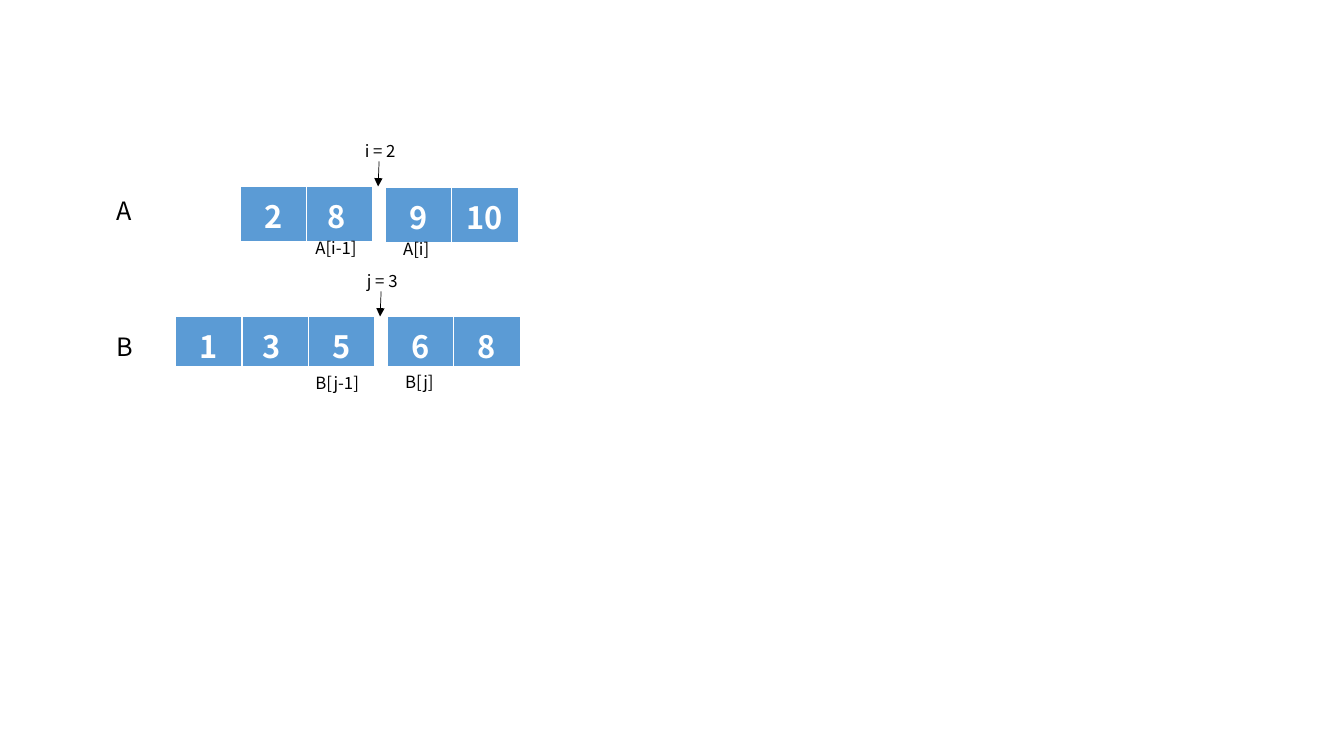
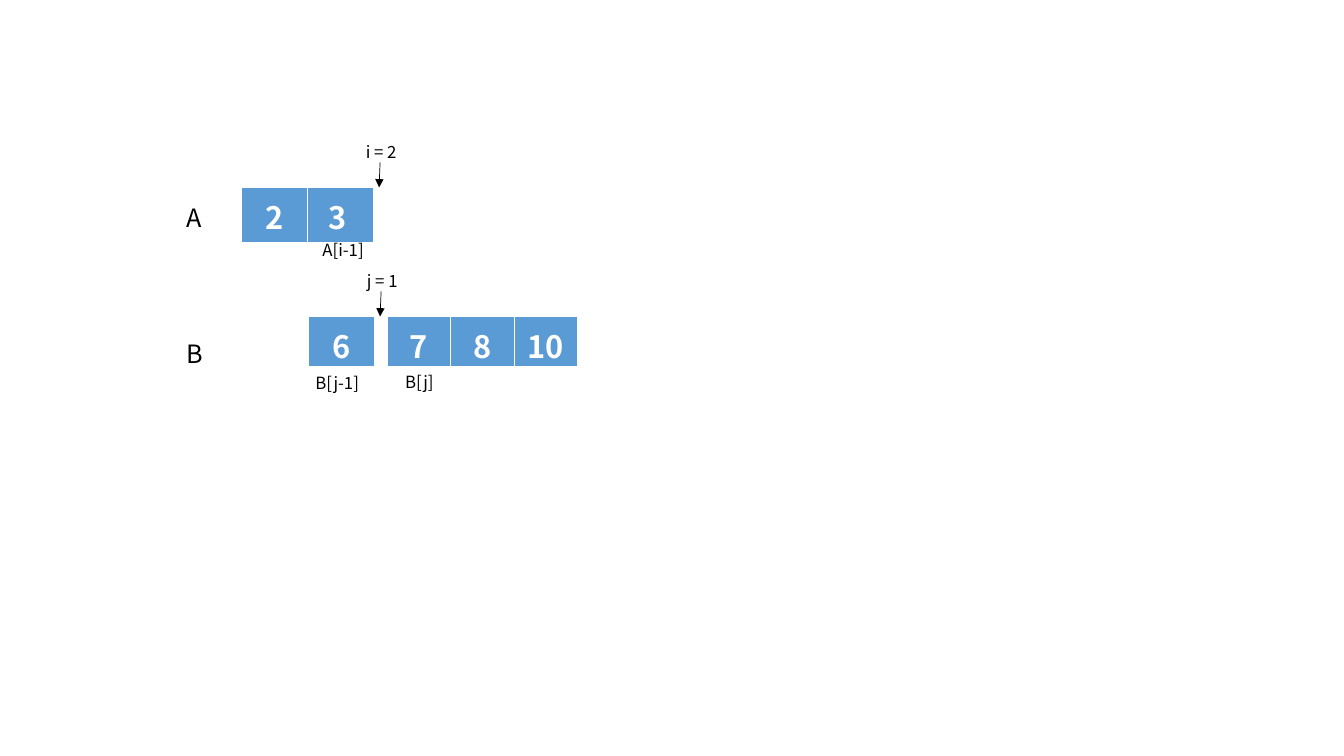
import dataclasses
import pptx
import pptx.dml.color
import pptx.enum.shapes
import pptx.enum.text
import pptx.oxml
import pptx.oxml.ns
import pptx.util

Inches = pptx.util.Inches
Pt = pptx.util.Pt
RGB = pptx.dml.color.RGBColor.from_string


@dataclasses.dataclass(frozen=True)
class Theme:
    """Colours, font and type sizes that the slides share."""
    ink: str = "000000"
    paper: str = "FFFFFF"
    blue: str = "5B9BD5"
    font: str = "Noto Sans CJK SC"
    cell: int = 22
    name: int = 18
    tag: int = 12


LOOK = Theme()
FLAT = {"first_row": False, "horz_banding": False}
PAD = {
    "margin_left": Inches(0.12), "margin_right": Inches(0.12),
    "margin_top": Inches(0.06), "margin_bottom": Inches(0.06),
}
FLOW = {"word_wrap": True, "auto_size": pptx.enum.text.MSO_AUTO_SIZE.SHAPE_TO_FIT_TEXT}
EDGES = {"lnL": 1, "lnR": 1, "lnT": 1, "lnB": 3}
HIGH = 0.51
WIDE = 0.66
GAP = 0.12

PAGES = [
    [
        {"box": (3.7, 1.85), "name": ("A", 1.06, 1.89), "mark": "i = 2",
         "left": ["2", "8 "], "right": ["9", "10 "], "drop": 0.01,
         "tags": [("A[i-1]", -0.67, 0.46), ("A[i]", 0.2, 0.47)]},
        {"box": (3.72, 3.14), "name": ("B", 1.06, 3.24), "mark": "j = 3",
         "left": ["1", "3 ", "5"], "right": ["6", "8"],
         "tags": [("B[j-1]", -0.69, 0.51), ("B[j]", 0.2, 0.5)]},
    ],
    [
        {"box": (3.71, 1.86), "name": ("A", 1.75, 1.96), "mark": "i = 2",
         "left": ["2", "3 "], "right": [],
         "tags": [("A[i-1]", -0.61, 0.47)]},
        {"box": (3.72, 3.14), "name": ("B", 1.75, 3.31), "mark": "j = 1",
         "left": ["6"], "right": ["7", "8", "10"], "wide": 0.63,
         "tags": [("B[j-1]", -0.69, 0.51), ("B[j]", 0.2, 0.5)]},
    ],
]


def fit(part, vals):
    """Set each format value on the part."""
    for key, val in vals.items():
        setattr(part, key, val)


def write(para, text, size, tint, bold=False):
    """Put one styled run in the paragraph."""
    run = para.add_run()
    run.text = text
    fit(run.font, {"size": Pt(size), "name": LOOK.font, "bold": bold})
    run.font.color.rgb = RGB(tint)
    east = pptx.oxml.parse_xml(
        f'<a:ea {pptx.oxml.ns.nsdecls("a")} typeface="{LOOK.font}"/>')
    run.font._element.append(east)


def label(slide, text, left, top, wide, high, size):
    """Add a text box."""
    frame = slide.shapes.add_textbox(
        Inches(left), Inches(top), Inches(wide), Inches(high)).text_frame
    fit(frame, FLOW)
    write(frame.paragraphs[0], text, size, LOOK.ink)


def edge(cell):
    """Draw the white borders of a cell."""
    props = cell._tc.get_or_add_tcPr()
    for side, width in EDGES.items():
        props.append(pptx.oxml.parse_xml(
            f'<a:{side} {pptx.oxml.ns.nsdecls("a")} w="{Pt(width)}">'
            f'<a:solidFill><a:srgbClr val="{LOOK.paper}"/></a:solidFill>'
            f'</a:{side}>'))


def strip(slide, nums, left, top, wide):
    """Add a one-row table of numbers."""
    table = slide.shapes.add_table(
        1, len(nums), Inches(left), Inches(top),
        Inches(wide * len(nums)), Inches(HIGH)).table
    fit(table, FLAT)
    for col, num in enumerate(nums):
        table.columns[col].width = Inches(wide)
        cell = table.cell(0, col)
        fit(cell, PAD)
        edge(cell)
        cell.fill.solid()
        cell.fill.fore_color.rgb = RGB(LOOK.blue)
        para = cell.text_frame.paragraphs[0]
        para.alignment = pptx.enum.text.PP_ALIGN.CENTER
        write(para, num, LOOK.cell, LOOK.paper, True)


def arrow(slide, left, top):
    """Add the thin arrow that points down at the split."""
    line = slide.shapes.add_connector(
        pptx.enum.shapes.MSO_CONNECTOR.STRAIGHT, Inches(left + 0.06),
        Inches(top - 0.25), Inches(left + 0.05), Inches(top))
    line.line.width = Pt(0.5)
    line.line.color.rgb = RGB(LOOK.ink)
    space = pptx.oxml.ns.nsdecls("a")
    line.line._get_or_add_ln().append(
        pptx.oxml.parse_xml(f'<a:tailEnd {space} type="triangle"/>'))
    line._element.spPr.append(pptx.oxml.parse_xml(f'<a:effectLst {space}/>'))


def split(slide, data):
    """Draw one split array around the right edge of its left part."""
    left, top = data["box"]
    strip(slide, data["left"], left - WIDE * len(data["left"]), top, WIDE)
    if data["right"]:
        strip(slide, data["right"], left + GAP, top + data.get("drop", 0),
              data.get("wide", WIDE))
    label(slide, *data["name"], 0.47, 0.4, LOOK.name)
    arrow(slide, left, top)
    label(slide, data["mark"], left - 0.18, top - 0.5, 0.83, 0.3, LOOK.tag)
    for text, across, down in data["tags"]:
        label(slide, text, left + across, top + down, 0.9, 0.3, LOOK.tag)


def main():
    """Build and save the slides."""
    deck = pptx.Presentation()
    fit(deck, {"slide_width": Inches(13.33), "slide_height": Inches(7.5)})
    for page in PAGES:
        slide = deck.slides.add_slide(deck.slide_layouts[6])
        for data in page:
            split(slide, data)
    deck.save("out.pptx")


if __name__ == "__main__":
    main()
